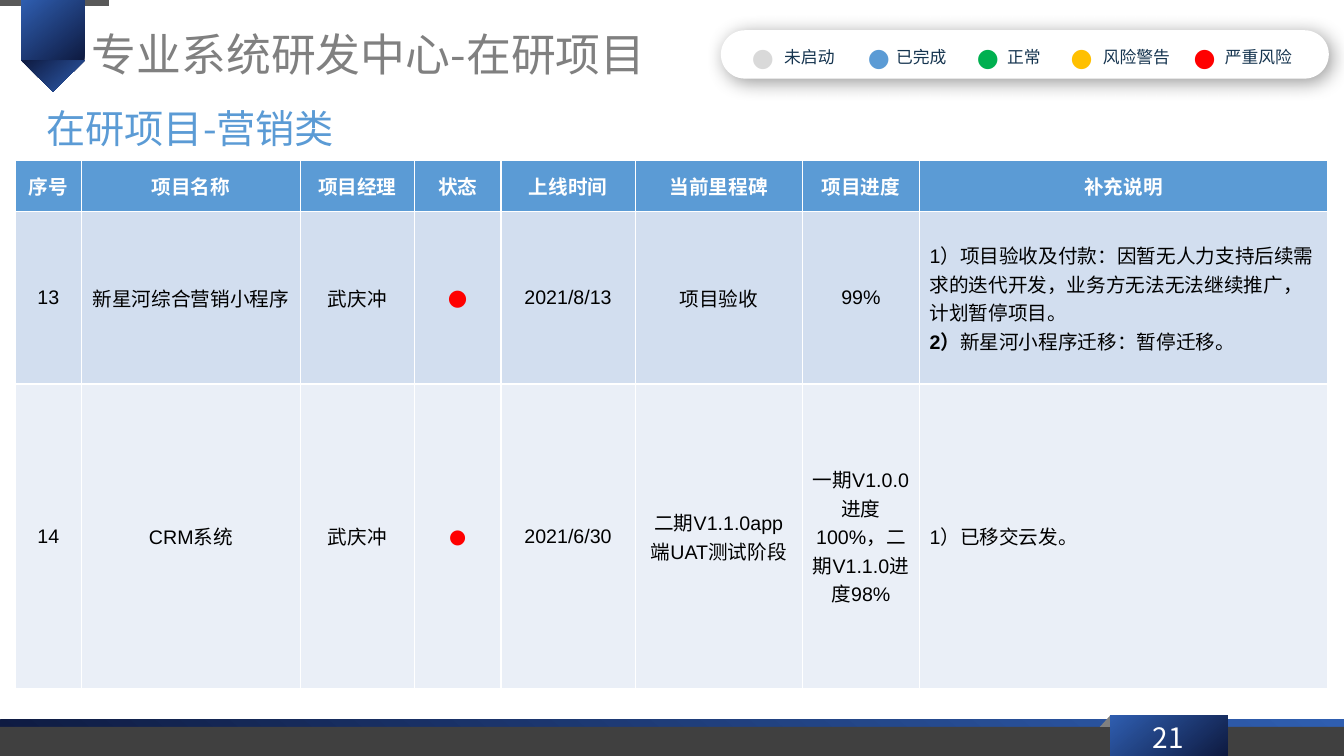
from lxml import etree
from pptx import Presentation
from pptx.dml.color import RGBColor
from pptx.enum.shapes import MSO_SHAPE
from pptx.enum.text import MSO_ANCHOR, MSO_AUTO_SIZE, PP_ALIGN
from pptx.oxml.ns import qn
from pptx.util import Inches, Pt

RECTANGLE, TRIANGLE = MSO_SHAPE.RECTANGLE, MSO_SHAPE.ISOSCELES_TRIANGLE
ROUNDED = MSO_SHAPE.ROUNDED_RECTANGLE
TOP, MIDDLE = MSO_ANCHOR.TOP, MSO_ANCHOR.MIDDLE
LEFT, CENTER = PP_ALIGN.LEFT, PP_ALIGN.CENTER

CJK, LATIN, DOT_FONT = "Noto Sans CJK SC", "Arial", "Montserrat"
NAVY, BLUE, SKY, RED = "0E1A40", "2F5EB0", "5B9BD5", "FF0000"
WHITE, BLACK, GREY, INK = "FFFFFF", "000000", "808080", "15344F"
DOT = "●"
WIDTH, HEIGHT = 13.33, 7.5

TITLE = "专业系统研发中心-在研项目"
SUBTITLE = "在研项目-营销类"
PAGE_NUMBER = "21"

# label, dot colour, dot left, label left
LEGEND = [
    ("未启动", "D9D9D9", 7.36, 7.68),
    ("已完成", SKY, 8.51, 8.79),
    ("正常", "00B050", 9.59, 9.89),
    ("风险警告", "FFC000", 10.52, 10.84),
    ("严重风险", RED, 11.74, 12.05),
]

HEADERS = ["序号", "项目名称", "项目经理", "状态", "上线时间", "当前里程碑", "项目进度", "补充说明"]
# A cell is a list of paragraphs, each a list of (text, bold) runs, or plain text
PROJECTS = [
    ["13", "新星河综合营销小程序", "武庆冲", DOT, "2021/8/13", "项目验收", "99%",
     [[("1）项目验收及付款：因暂无人力支持后续需求的迭代开发，业务方无法无法继续推广，计划暂停项目。", False)],
      [("2）", True), ("新星河小程序迁移：暂停迁移。", False)]]],
    ["14", "CRM系统", "武庆冲", DOT, "2021/6/30", "二期V1.1.0app端UAT测试阶段",
     "一期V1.0.0进度100%，二期V1.1.0进度98%", "1）已移交云发。"],
]
COLUMN_WIDTHS = [0.66, 2.17, 1.13, 0.86, 1.33, 1.66, 1.16, 4.05]
ROW_HEIGHTS = [0.51, 1.71, 3.02]
ROW_FILLS = [SKY, "D2DEEF", "EAEFF7"]
DOT_SIZES = [16, 14]
STATUS_COLUMN, NOTE_COLUMN = 3, 7


def color(value):
    return RGBColor.from_string(value)


def set_font(paragraph, name, size, text_color, alignment=LEFT):
    paragraph.alignment = alignment
    font = paragraph.font
    font.name, font.size = name, Pt(size)
    font.color.rgb = color(text_color)


def set_frame(frame, anchor, margins=None, wrap=True):
    frame.word_wrap = wrap
    frame.auto_size = MSO_AUTO_SIZE.NONE
    frame.vertical_anchor = anchor
    if margins:
        frame.margin_left = frame.margin_right = Inches(margins[0])
        frame.margin_top = frame.margin_bottom = Inches(margins[1])


def add_text(text, box, name, size, text_color, alignment=LEFT, anchor=TOP,
             margins=None, wrap=True):
    text_box = slide.shapes.add_textbox(*map(Inches, box))
    set_frame(text_box.text_frame, anchor, margins, wrap)
    paragraph = text_box.text_frame.paragraphs[0]
    paragraph.text = text
    set_font(paragraph, name, size, text_color, alignment)


def paint(shape, fill):
    """Fill with a hex colour, or with the navy-blue gradient at an angle."""
    shape.shadow.inherit = False
    shape.line.fill.background()
    if isinstance(fill, str):
        shape.fill.solid()
        shape.fill.fore_color.rgb = color(fill)
    else:
        shape.fill.gradient()
        shape.fill.gradient_angle = fill
        for stop, stop_color in zip(shape.fill.gradient_stops, (NAVY, BLUE)):
            stop.color.rgb = color(stop_color)


def add_block(kind, box, fill):
    shape = slide.shapes.add_shape(kind, *map(Inches, box))
    paint(shape, fill)
    return shape


def add_soft_shadow(shape):
    effects = shape._element.spPr.find(qn("a:effectLst"))
    shadow = etree.SubElement(effects, qn("a:outerShdw"), blurRad=str(Pt(14)),
                              dist=str(Pt(3)), dir=str(45 * 60000), algn="tl",
                              rotWithShape="0")
    shade = etree.SubElement(shadow, qn("a:srgbClr"), val=BLACK)
    etree.SubElement(shade, qn("a:alpha"), val="40000")


def add_ribbon_and_footer():
    add_block(RECTANGLE, (0, 0, 1.08, 0.06), "595959")
    add_block(RECTANGLE, (0.21, 0, 0.63, 0.6), 130)
    add_block(TRIANGLE, (0.21, 0.6, 0.63, 0.31), 130).rotation = 180
    for top, fill in ((7.14, 50), (7.21, "404040")):
        add_block(RECTANGLE, (0, top, WIDTH, HEIGHT - top), fill)
    builder = slide.shapes.build_freeform(Inches(11.01), Inches(7.1))
    corners = [(12.01, 7.1), (12.02, 7.22), (10.91, 7.21)]
    builder.add_line_segments([(Inches(x), Inches(y)) for x, y in corners])
    paint(builder.convert_to_shape(), GREY)
    add_block(RECTANGLE, (11.01, 7.1, 1.17, 0.4), 130)
    add_text(PAGE_NUMBER, (11.1, 7.11, 0.97, 0.4), CJK, 20, WHITE, CENTER, MIDDLE)


def add_headings():
    title = slide.shapes.title
    title.left, title.top, title.width, title.height = map(Inches, (0.84, 0.23, 6.22, 0.61))
    set_frame(title.text_frame, MIDDLE, (0.07, 0.04))
    title.text_frame.text = TITLE
    set_font(title.text_frame.paragraphs[0], CJK, 32, GREY)
    add_text(SUBTITLE, (0.39, 1, 3.59, 0.54), CJK, 28, SKY,
             anchor=MIDDLE, margins=(0.07, 0.04))


def add_legend():
    panel = add_block(ROUNDED, (7.15, 0.3, 6.03, 0.48), WHITE)
    panel.adjustments[0] = 0.5
    add_soft_shadow(panel)
    for label, dot_color, dot_left, label_left in LEGEND:
        add_text(DOT, (dot_left, 0.36, 0.45, 0.4), DOT_FONT, 18, dot_color, wrap=False)
        add_text(label, (label_left, 0.41, 1.2, 0.3), CJK, 12, INK)


def fill_cell(cell, content, row, column):
    cell.vertical_anchor = MIDDLE
    cell.fill.solid()
    cell.fill.fore_color.rgb = color(ROW_FILLS[row])
    if row == 0:
        style = (CJK, 14, WHITE, CENTER)
    elif column == STATUS_COLUMN:
        style = (DOT_FONT, DOT_SIZES[row - 1], RED, CENTER)
    else:
        style = (LATIN, 14, BLACK, LEFT if column == NOTE_COLUMN else CENTER)
    paragraphs = [[(content, row == 0)]] if isinstance(content, str) else content
    frame = cell.text_frame
    for index, runs in enumerate(paragraphs):
        paragraph = frame.add_paragraph() if index else frame.paragraphs[0]
        set_font(paragraph, *style)
        for text, bold in runs:
            run = paragraph.add_run()
            run.text, run.font.bold = text, bold


def add_project_table():
    rows = [HEADERS] + PROJECTS
    table = slide.shapes.add_table(
        len(rows), len(HEADERS), Inches(0.15), Inches(1.59),
        Inches(sum(COLUMN_WIDTHS)), Inches(sum(ROW_HEIGHTS))).table
    for column, width in zip(table.columns, COLUMN_WIDTHS):
        column.width = Inches(width)
    for row_index, contents in enumerate(rows):
        table.rows[row_index].height = Inches(ROW_HEIGHTS[row_index])
        for column_index, content in enumerate(contents):
            fill_cell(table.cell(row_index, column_index), content, row_index, column_index)


presentation = Presentation()
presentation.slide_width, presentation.slide_height = Inches(WIDTH), Inches(HEIGHT)
slide = presentation.slides.add_slide(presentation.slide_layouts.get_by_name("Title Only"))
add_ribbon_and_footer()
add_headings()
add_project_table()
add_legend()
presentation.save("out.pptx")
